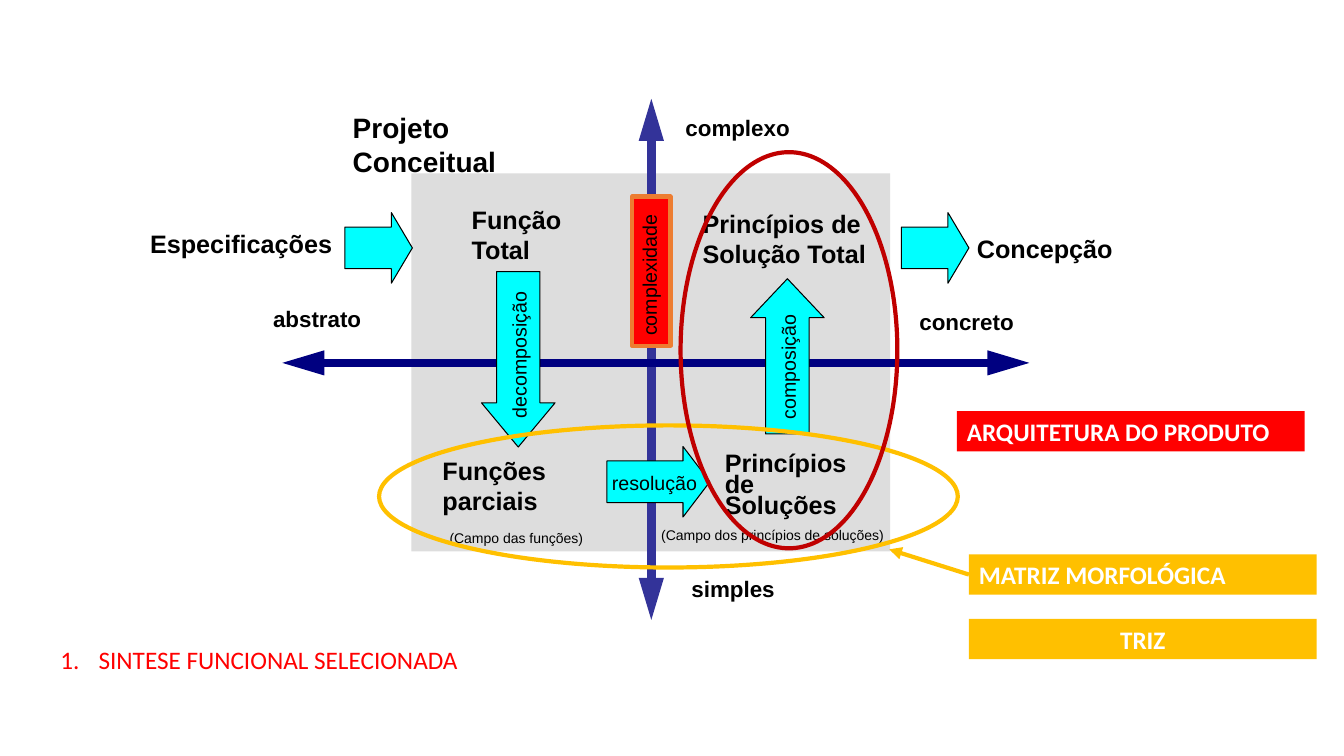
from pptx import Presentation
from pptx.dml.color import RGBColor
from pptx.enum.shapes import MSO_CONNECTOR, MSO_SHAPE
from pptx.enum.text import MSO_ANCHOR, PP_ALIGN
from pptx.oxml.ns import qn
from pptx.util import Inches, Pt
from lxml.etree import SubElement

THEME = {
    "panel": "DDDDDD", "cyan": "00FFFF", "red": "FF0000", "amber": "FFC000",
    "crimson": "C00000", "orange": "ED7D31", "indigo": "333399", "navy": "000080",
    "black": "000000", "white": "FFFFFF",
    "diagram_font": "Arial", "tag_font": "Calibri",
    "title": 20, "stage": 18, "axis": 16, "arrow": 14, "field": 10, "tag": 18,
    "thin": 0.75, "outline": 3, "axis_line": 6,
}


def draw(preset, place, fill=None, line=None, width=THEME["outline"], rotation=0):
    shape = page.shapes.add_shape(preset, *[Inches(value) for value in place])
    shape.shadow.inherit = False
    shape.rotation = rotation
    if fill:
        shape.fill.solid()
        shape.fill.fore_color.rgb = RGBColor.from_string(THEME[fill])
    else:
        shape.fill.background()
    if line:
        shape.line.color.rgb = RGBColor.from_string(THEME[line])
        shape.line.width = Pt(width)
    else:
        shape.line.fill.background()
    return shape


def write(box, text, size, color="black", font="diagram_font", bold=True, align=PP_ALIGN.LEFT):
    frame = box.text_frame
    frame.word_wrap = True
    frame.vertical_anchor = MSO_ANCHOR.TOP
    para = frame.paragraphs[0]
    para.text = text
    para.alignment = align
    span = para.runs[0]
    span.font.name = THEME[font]
    span.font.size = Pt(THEME[size])
    span.font.bold = bold
    span.font.color.rgb = RGBColor.from_string(THEME[color])
    return para


deck = Presentation()
deck.slide_width, deck.slide_height = Inches(13.33), Inches(7.5)
page = deck.slides.add_slide(deck.slide_layouts[6])

draw(MSO_SHAPE.RECTANGLE, (4.08, 1.72, 4.75, 3.75), "panel")

lines = [
    ((6.46, 0.98, 6.46, 6.15), "indigo", "axis_line", ("headEnd", "tailEnd"), "lg"),
    ((2.8, 3.6, 10.21, 3.6), "navy", "axis_line", ("headEnd", "tailEnd"), "lg"),
    ((8.82, 5.45, 9.61, 5.7), "amber", "outline", ("headEnd",), "med"),
]
for ends, color, width, heads, length in lines:
    connector = page.shapes.add_connector(MSO_CONNECTOR.STRAIGHT, *[Inches(value) for value in ends])
    connector.line.color.rgb = RGBColor.from_string(THEME[color])
    connector.line.width = Pt(THEME[width])
    outline = connector.line._get_or_add_ln()
    for head in heads:
        SubElement(outline, qn("a:" + head), type="triangle", w="med", len=length)
    SubElement(connector._element.spPr, qn("a:effectLst"))

block_arrows = [
    ((4.27, 3.2, 1.74, 0.73), 90, 0.6),
    ((6.02, 4.43, 1.02, 0.7), 0, 0.38),
    ((7.04, 3.17, 1.54, 0.73), 270, 0.53),
    ((3.42, 2.11, 0.67, 0.7), 0, 0.31),
    ((8.94, 2.11, 0.67, 0.7), 0, 0.31),
]
for place, rotation, head_length in block_arrows:
    arrow = draw(MSO_SHAPE.RIGHT_ARROW, place, "cyan", "black", THEME["thin"], rotation)
    arrow.adjustments[0] = 0.59
    arrow.adjustments[1] = head_length

complexity = draw(MSO_SHAPE.RECTANGLE, (5.72, 2.5, 1.48, 0.38), "red", "orange", rotation=270)
write(complexity, "complexidade", "arrow", bold=False)

labels = [
    ("Projeto Conceitual", (3.4, 1.05, 1.78, 0.64), "title", True, 0),
    ("Função Total", (4.58, 1.98, 1.16, 0.7), "stage", True, 0),
    ("Funções parciais", (4.29, 4.47, 1.71, 0.7), "stage", True, 0),
    ("Princípios de Solução Total", (6.87, 2.02, 1.9, 0.7), "stage", True, 0),
    ("Especificações", (1.39, 2.22, 2.03, 0.4), "stage", True, 0),
    ("Concepção", (9.59, 2.27, 1.59, 0.4), "stage", True, 0),
    ("complexo", (6.7, 1.08, 1.51, 0.37), "axis", True, 0),
    ("simples", (6.76, 5.66, 1.51, 0.37), "axis", True, 0),
    ("abstrato", (2.61, 2.98, 1.24, 0.37), "axis", True, 0),
    ("concreto", (9.02, 3.01, 1.38, 0.37), "axis", True, 0),
    ("decomposição", (4.39, 3.33, 1.51, 0.33), "arrow", False, 270),
    ("resolução", (5.97, 4.62, 1.06, 0.33), "arrow", False, 0),
    ("composição", (7.09, 3.37, 1.45, 0.33), "arrow", False, 270),
    ("(Campo das funções)", (4.36, 5.2, 1.68, 0.27), "field", False, 0),
    ("(Campo dos princípios de soluções)", (6.46, 5.17, 2.46, 0.27), "field", False, 0),
]
for text, place, size, bold, rotation in labels:
    box = page.shapes.add_textbox(*[Inches(value) for value in place])
    box.rotation = rotation
    write(box, text, size, bold=bold)

principles = page.shapes.add_textbox(Inches(7.09), Inches(4.47), Inches(1.52), Inches(0.73))
write(principles, "Princípios de Soluções", "stage").line_spacing = 0.7

synthesis = page.shapes.add_textbox(Inches(0.5), Inches(6.34), Inches(5.64), Inches(0.4))
item = write(synthesis, "SINTESE FUNCIONAL SELECIONADA", "tag", "red", "tag_font", False)
properties = item._p.get_or_add_pPr()
properties.set("marL", str(Inches(0.38)))
properties.set("indent", str(-Inches(0.38)))
SubElement(properties, qn("a:buFont"), typeface="+mj-lt")
SubElement(properties, qn("a:buAutoNum"), type="arabicPeriod")

draw(MSO_SHAPE.OVAL, (3.76, 4.22, 5.74, 1.41), line="amber")

tags = [
    ("MATRIZ MORFOLÓGICA", 9.61, 5.5, "amber", PP_ALIGN.LEFT),
    ("TRIZ", 9.61, 6.14, "amber", PP_ALIGN.CENTER),
    ("ARQUITETURA DO PRODUTO", 9.49, 4.08, "red", PP_ALIGN.LEFT),
]
for text, left, top, fill, align in tags:
    tag = draw(MSO_SHAPE.RECTANGLE, (left, top, 3.45, 0.4), fill)
    write(tag, text, "tag", "white", "tag_font", align=align)

draw(MSO_SHAPE.OVAL, (6.75, 1.51, 2.15, 3.93), line="crimson")

deck.save("out.pptx")
